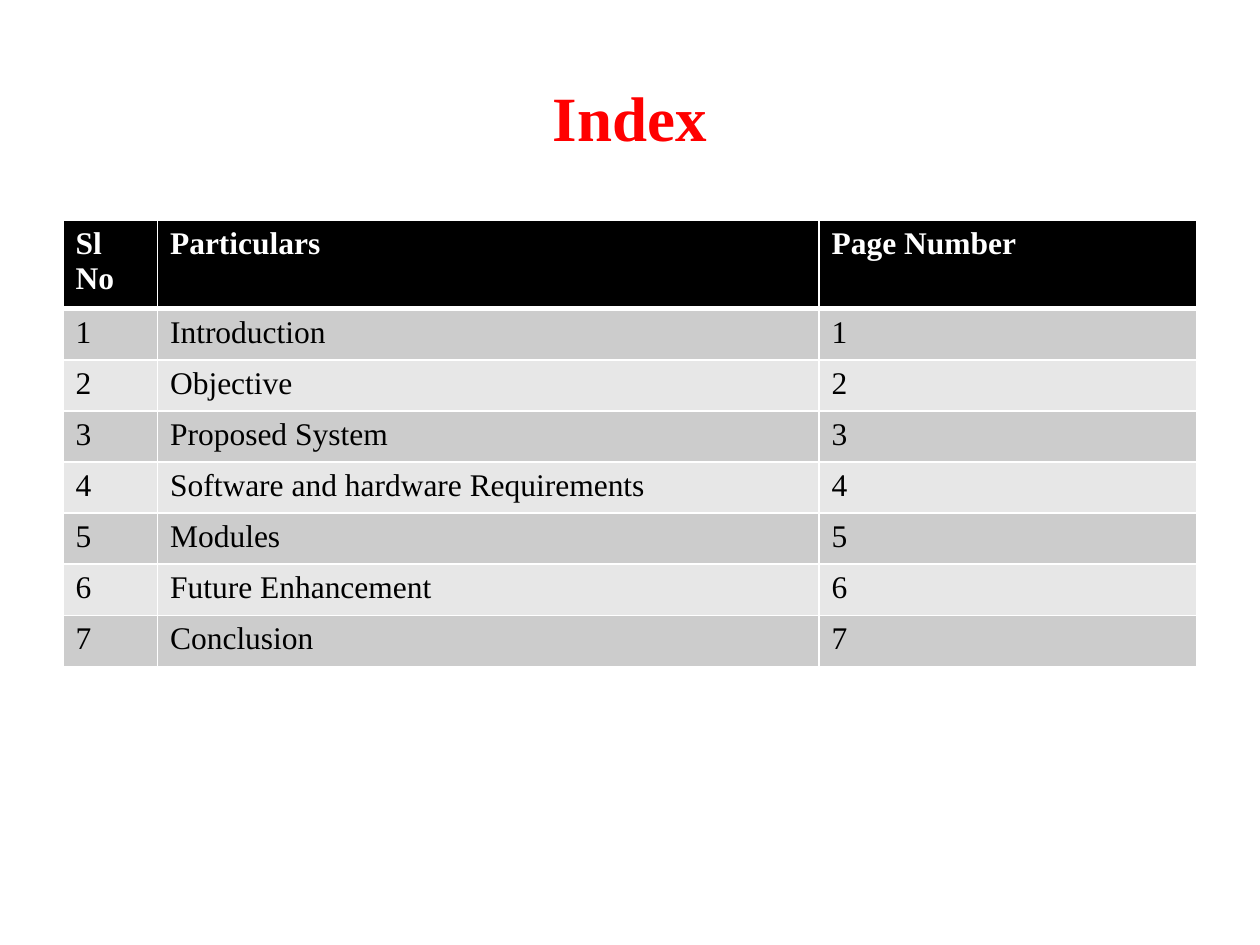
from dataclasses import dataclass

from lxml.etree import SubElement
from pptx import Presentation
from pptx.dml.color import RGBColor
from pptx.enum.text import MSO_ANCHOR, PP_ALIGN
from pptx.oxml.ns import qn
from pptx.util import Pt


@dataclass(frozen=True)
class Theme:
    font: str = "Times New Roman"
    title: str = "FF0000"
    head: str = "000000"
    odd: str = "CCCCCC"
    even: str = "E7E7E7"
    light: str = "FFFFFF"
    dark: str = "000000"
    big: int = 36
    body: int = 18


theme = Theme()


def write(para, text, size, color, bold):
    run = para.add_run()
    run.text = text
    run.font.name = theme.font
    run.font.size = Pt(size)
    run.font.bold = bold
    run.font.color.rgb = RGBColor.from_string(color)


def edge(cell, side, width):
    """Draw one border of a cell; side is L, R, T or B."""
    line = SubElement(cell._tc.get_or_add_tcPr(), qn(f"a:ln{side}"), w=str(Pt(width)))
    fill = SubElement(line, qn("a:solidFill"))
    SubElement(fill, qn("a:srgbClr"), val=theme.light)


deck = Presentation()
deck.slide_width, deck.slide_height = Pt(720), Pt(540)
slide = deck.slides.add_slide(deck.slide_layouts[6])

# Title
frame = slide.shapes.add_textbox(Pt(36), Pt(21.6), Pt(648), Pt(90)).text_frame
frame.word_wrap = True
frame.vertical_anchor = MSO_ANCHOR.MIDDLE
frame.paragraphs[0].alignment = PP_ALIGN.CENTER
write(frame.paragraphs[0], "Index", theme.big, theme.title, True)

# Index table: each topic has the same serial and page number
topics = ["Introduction", "Objective", "Proposed System",
          "Software and hardware Requirements", "Modules",
          "Future Enhancement", "Conclusion"]
rows = [("Sl No", "Particulars", "Page Number")]
rows += [(str(n), topic, str(n)) for n, topic in enumerate(topics, 1)]
widths = [54, 378, 216]
height = 29.2

table = slide.shapes.add_table(len(rows), len(widths), Pt(36), Pt(126),
                               Pt(sum(widths)), Pt(height * len(rows))).table
for col, width in zip(table.columns, widths):
    col.width = Pt(width)

for r, row in enumerate(rows):
    table.rows[r].height = Pt(height)
    first = r == 0
    shade = theme.head if first else theme.odd if r % 2 else theme.even
    ink = theme.light if first else theme.dark
    for c, text in enumerate(row):
        cell = table.cell(r, c)
        edge(cell, "L", 1)
        edge(cell, "R", 1)
        edge(cell, "T", 3 if r == 1 else 1)
        edge(cell, "B", 3 if first else 1)
        cell.fill.solid()
        cell.fill.fore_color.rgb = RGBColor.from_string(shade)
        write(cell.text_frame.paragraphs[0], text, theme.body, ink, first)

deck.save("out.pptx")
